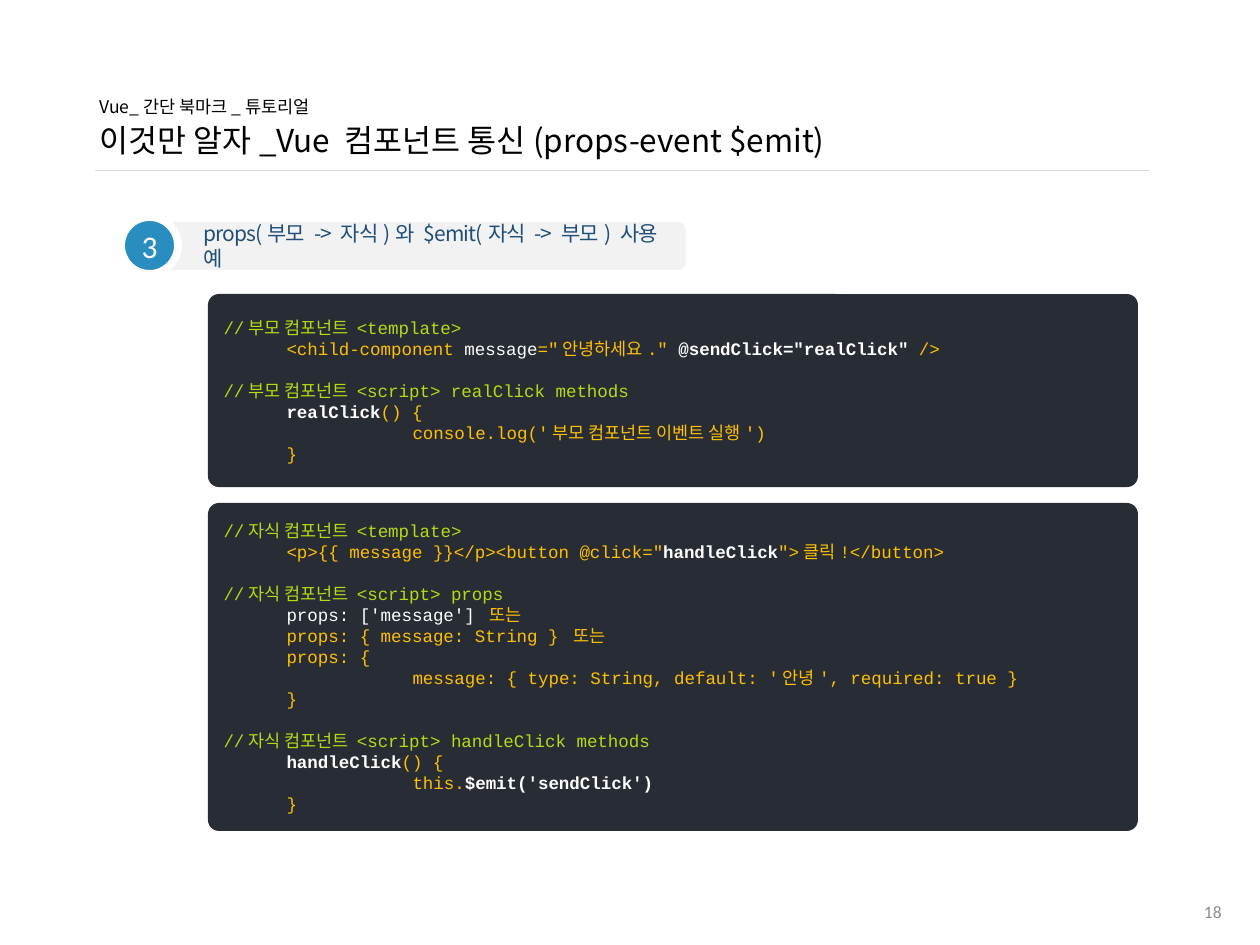
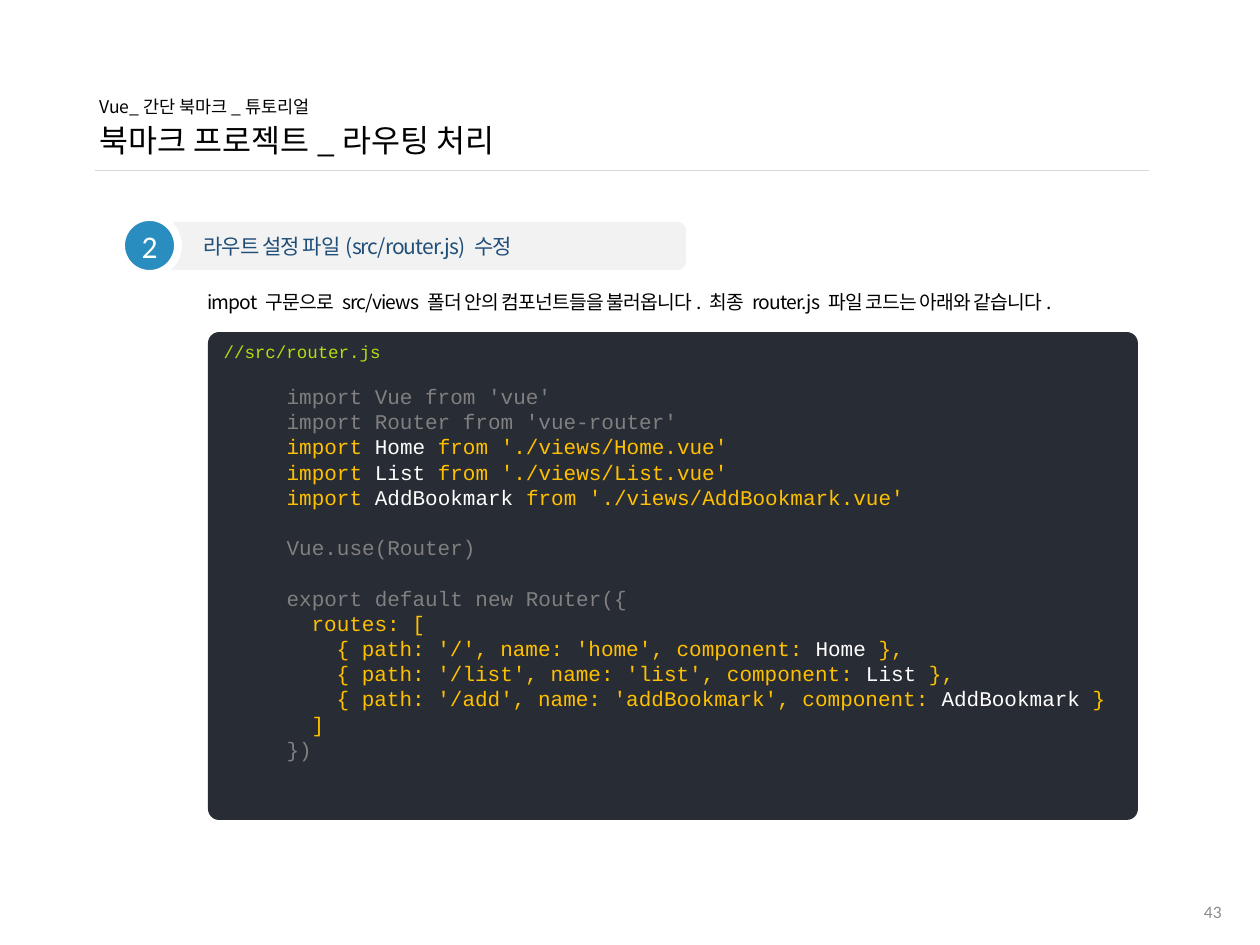
from lxml import etree
from pptx import Presentation
from pptx import util as u
from pptx.dml.color import RGBColor
from pptx.enum import shapes, text
from pptx.oxml import ns

EMU_PER_PX = 914400 / 126
BLACK = RGBColor(0x00, 0x00, 0x00)
WHITE = RGBColor(0xFF, 0xFF, 0xFF)
PANEL = RGBColor(0x28, 0x2C, 0x34)
LIME = RGBColor(0xB5, 0xDC, 0x11)
AMBER = RGBColor(0xFF, 0xC0, 0x00)
GREY = RGBColor(0x80, 0x80, 0x80)
NAVY = RGBColor(0x1F, 0x4E, 0x79)
BLUE = RGBColor(0x29, 0x8D, 0xBF)
PILL = RGBColor(0xF2, 0xF2, 0xF2)
RULE = RGBColor(0xD9, 0xD9, 0xD9)
NUMBER = RGBColor(0x8C, 0x8C, 0x8C)

KOREAN = "Noto Sans CJK KR"
MONO = "Courier New"
LATIN = "Calibri"
MIDDLE = text.MSO_ANCHOR.MIDDLE
TOP = text.MSO_ANCHOR.TOP
ROUNDED = shapes.MSO_SHAPE.ROUNDED_RECTANGLE

SERIES = "Vue_간단 북마크_튜토리얼"
LINE_HEIGHT = 1.2
CORNER = 11
INDENT = 63
DEEP = 3 * INDENT
ROUTES = INDENT + 25
ROUTE = INDENT + 50

comment = {"color": LIME}
code = {"color": AMBER}
key = {"color": WHITE}
strong = {"color": WHITE, "bold": True}
dim = {"color": GREY}

# Each code line: indent, empty lines before it, then its styled pieces
parent_code = [
    (0, 0, ("//부모 컴포넌트 <template>", comment)),
    (INDENT, 0, ("<child-component ", code), ("message", key), ('="안녕하세요." ', code),
     ('@sendClick="realClick"', strong), (" />", code)),
    (0, 1, ("//부모 컴포넌트 <script> realClick methods", comment)),
    (INDENT, 0, ("realClick", strong), ("() {", code)),
    (DEEP, 0, ("console.log('부모 컴포넌트 이벤트 실행')", code)),
    (INDENT, 0, ("}", code)),
]
child_code = [
    (0, 0, ("//자식 컴포넌트 <template>", comment)),
    (INDENT, 0, ('<p>{{ message }}</p><button @click="', code), ("handleClick", strong),
     ('">클릭!</button>', code)),
    (0, 1, ("//자식 컴포넌트 <script> props", comment)),
    (INDENT, 0, ("props: ['message'] ", key), ("또는", code)),
    (INDENT, 0, ("props: { message: String } 또는", code)),
    (INDENT, 0, ("props: {", code)),
    (DEEP, 0, ("message: { type: String, default: '안녕', required: true }", code)),
    (INDENT, 0, ("}", code)),
    (0, 1, ("//자식 컴포넌트 <script> handleClick methods", comment)),
    (INDENT, 0, ("handleClick", strong), ("() {", code)),
    (DEEP, 0, ("this.", code), ("$emit('sendClick')", strong)),
    (INDENT, 0, ("}", code)),
]
views = ["Home", "List", "AddBookmark"]
routes = [("/", "home", "Home", " },"), ("/list", "list", "List", " },"),
          ("/add", "addBookmark", "AddBookmark", " }")]
router_code = [
    (0, 0, ("//src/router.js", comment)),
    (INDENT, 1, ("import Vue from 'vue'", dim)),
    (INDENT, 0, ("import Router from 'vue-router'", dim)),
    *[(INDENT, 0, ("import ", code), (view, key), (f" from './views/{view}.vue'", code))
      for view in views],
    (INDENT, 1, ("Vue.use(Router)", dim)),
    (INDENT, 1, ("export default new Router({", dim)),
    (ROUTES, 0, ("routes: [", code)),
    *[(ROUTE, 0, (f"{{ path: '{url}', name: '{name}', component: ", code), (view, key),
       (closing, code)) for url, name, view, closing in routes],
    (ROUTES, 0, ("]", code)),
    (INDENT, 0, ("})", dim)),
]

# Each code panel: top, height, anchor, code size, lines
pages = [
    {"number": "18", "title": "이것만 알자_Vue 컴포넌트 통신(props-event $emit)",
     "step": "3", "topic": "props(부모 -> 자식)와 $emit(자식 -> 부모) 사용 예", "lead": None,
     "panels": [(294, 193, MIDDLE, 10, parent_code), (503, 328, MIDDLE, 10, child_code)]},
    {"number": "43", "title": "북마크 프로젝트_라우팅 처리",
     "step": "2", "topic": "라우트 설정 파일(src/router.js) 수정",
     "lead": "impot 구문으로 src/views 폴더 안의 컴포넌트들을 불러옵니다. "
             "최종 router.js 파일 코드는 아래와 같습니다.",
     "panels": [(332, 488, TOP, 12, router_code)]},
]


def px(*lengths):
    return [u.Emu(round(length * EMU_PER_PX)) for length in lengths]


def add_run(paragraph, words, name, size, color, bold=False, tracking=None):
    run = paragraph.add_run()
    run.text = words
    for attribute, value in {"name": name, "size": u.Pt(size), "bold": bold}.items():
        setattr(run.font, attribute, value)
    run.font.color.rgb = color
    properties = run.font._element
    etree.SubElement(properties, ns.qn("a:ea"), typeface=KOREAN)
    if tracking:
        properties.set("spc", str(tracking))


deck = Presentation()
deck.slide_width, deck.slide_height = px(1260, 945)

for page in pages:
    slide = deck.slides.add_slide(deck.slide_layouts[5])

    title = slide.shapes.title
    title.left, title.top, title.width, title.height = px(87, 76, 1086, 100)
    heading = title.text_frame
    heading.auto_size = text.MSO_AUTO_SIZE.NONE
    heading.vertical_anchor = MIDDLE
    for row, (words, size) in enumerate([(SERIES, 10), (page["title"], 18)]):
        paragraph = heading.add_paragraph() if row else heading.paragraphs[0]
        paragraph.alignment = text.PP_ALIGN.LEFT
        paragraph.line_spacing = 1.1
        add_run(paragraph, words, KOREAN, size, BLACK)

    rule = slide.shapes.add_connector(shapes.MSO_CONNECTOR.STRAIGHT, *px(95, 170, 1149, 170))
    rule.line.color.rgb = RULE
    rule.line.width = u.Pt(0.5)
    etree.SubElement(rule._element.spPr, ns.qn("a:effectLst"))

    panels = [slide.shapes.add_shape(ROUNDED, *px(208, top, 930, height))
              for top, height, *_ in page["panels"]]
    pill = slide.shapes.add_shape(ROUNDED, *px(152, 222, 534, 48))
    badge = slide.shapes.add_shape(shapes.MSO_SHAPE.OVAL, *px(121, 217, 57, 57))
    for shape, fill in [(pill, PILL), (badge, BLUE)] + [(panel, PANEL) for panel in panels]:
        shape.shadow.inherit = False
        shape.fill.solid()
        shape.fill.fore_color.rgb = fill
        shape.line.fill.background()
        shape.text_frame.word_wrap = True
    badge.line.color.rgb = WHITE
    badge.line.width = u.Pt(4.5)
    pill.text_frame.margin_left = px(49)[0]

    for panel, (top, height, anchor, code_size, lines) in zip(panels, page["panels"]):
        panel.adjustments[0] = round(CORNER / height, 3)
        listing = panel.text_frame
        listing.vertical_anchor = anchor
        previous_size = 10
        for row, (indent, empty_lines, *pieces) in enumerate(lines):
            size = code_size if indent else 10
            paragraph = listing.add_paragraph() if row else listing.paragraphs[0]
            layout = {"alignment": text.PP_ALIGN.LEFT,
                      "line_spacing": u.Pt(size * LINE_HEIGHT),
                      "space_before": u.Pt(empty_lines * previous_size * LINE_HEIGHT)}
            for attribute, value in layout.items():
                setattr(paragraph, attribute, value)
            paragraph._p.get_or_add_pPr().set("marL", str(px(indent)[0]))
            for words, style in pieces:
                add_run(paragraph, words, MONO, size, **style)
            previous_size = size

    number = slide.shapes.add_textbox(*px(950, 887, 284, 50))
    labels = [
        (pill, page["topic"], MIDDLE, text.PP_ALIGN.LEFT, (KOREAN, 12, NAVY, False, -50)),
        (badge, page["step"], MIDDLE, text.PP_ALIGN.CENTER, (LATIN, 18, WHITE)),
        (number, page["number"], MIDDLE, text.PP_ALIGN.RIGHT, (LATIN, 10, NUMBER)),
    ]
    if page["lead"]:
        lead = slide.shapes.add_textbox(*px(195, 284, 883, 37))
        labels.append((lead, page["lead"], TOP, text.PP_ALIGN.LEFT,
                       (KOREAN, 11, BLACK, False, -50)))
    for shape, words, anchor, alignment, style in labels:
        shape.text_frame.word_wrap = True
        shape.text_frame.vertical_anchor = anchor
        paragraph = shape.text_frame.paragraphs[0]
        paragraph.alignment = alignment
        add_run(paragraph, words, *style)

deck.save("out.pptx")
